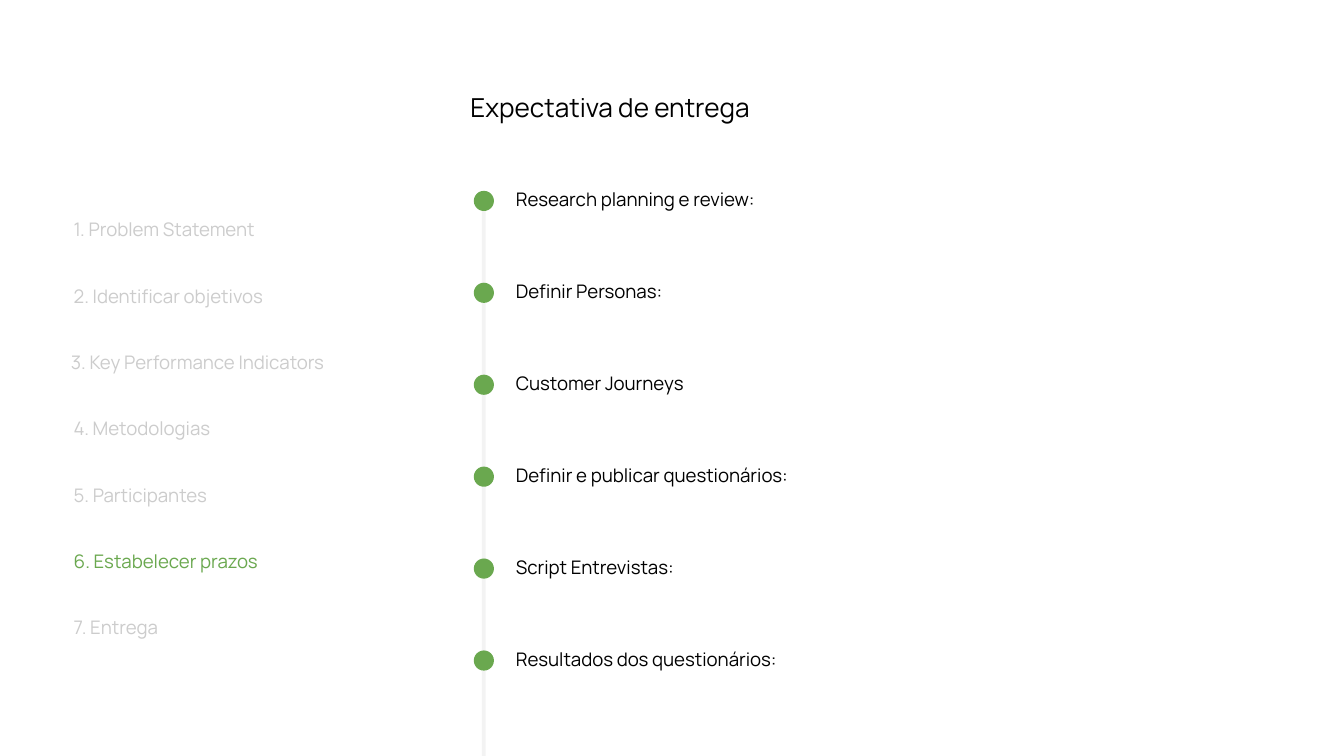
from pptx import Presentation
from pptx.dml.color import RGBColor
from pptx.enum.shapes import MSO_SHAPE
from pptx.enum.text import MSO_ANCHOR, MSO_AUTO_SIZE, PP_ALIGN
from pptx.util import Inches, Pt

GREEN, GREY, PALE, BLACK = "6AA84F", "CCCCCC", "F3F3F3", "000000"
SLIDE_WIDTH = 10
SLIDE_HEIGHT = SLIDE_WIDTH * 9 / 16
ROW_HEIGHT = 0.37
STEP_TOP, STEP_BOTTOM = 1.5, 4.46
MILESTONE_TOP, MILESTONE_BOTTOM = 1.3, 4.72
LINE_CENTER, LINE_WIDTH, LINE_TOP = 3.6, 0.03, 1.5
DOT_SIZE, DOT_OFFSET = 0.15, 0.12

STEPS = [
    "Problem Statement",
    "Identificar objetivos",
    "Key Performance Indicators",
    "Metodologias",
    "Participantes",
    "Estabelecer prazos",
    "Entrega",
]
CURRENT_STEP = 6
MILESTONES = [
    "Research planning e review:",
    "Definir Personas:",
    "Customer Journeys",
    "Definir e publicar questionários:",
    "Script Entrevistas:",
    "Resultados dos questionários:",
]


def write_text(text, box, shape=None, size=10, color=BLACK, line_spacing=1.0):
    """Write one line of text into the given shape, or into a new text box."""
    left, top, width, height = (Inches(length) for length in box)
    if shape is None:
        shape = slide.shapes.add_textbox(left, top, width, height)
    else:
        shape.left, shape.top, shape.width, shape.height = left, top, width, height
    frame = shape.text_frame
    frame.word_wrap = True
    frame.auto_size = MSO_AUTO_SIZE.NONE
    frame.vertical_anchor = MSO_ANCHOR.TOP
    frame.margin_left = frame.margin_right = Inches(0.1)
    frame.margin_top = frame.margin_bottom = Inches(0.1)
    paragraph = frame.paragraphs[0]
    paragraph.alignment = PP_ALIGN.LEFT
    paragraph.line_spacing = line_spacing
    paragraph.space_before = Pt(0)
    run = paragraph.add_run()
    run.text = text
    run.font.size = Pt(size)
    run.font.name = "Manrope"
    run.font.color.rgb = RGBColor.from_string(color)


def add_filled_shape(kind, box, color):
    shape = slide.shapes.add_shape(kind, *(Inches(length) for length in box))
    shape.shadow.inherit = False
    shape.fill.solid()
    shape.fill.fore_color.rgb = RGBColor.from_string(color)
    shape.line.fill.background()


presentation = Presentation()
presentation.slide_width = Inches(SLIDE_WIDTH)
presentation.slide_height = Inches(SLIDE_HEIGHT)
slide = presentation.slides.add_slide(presentation.slide_layouts[5])

write_text("Expectativa de entrega", (3.4, 0.58, 2.72, 0.44),
           shape=slide.shapes.title, size=14)

# Steps of the research plan, with the current one highlighted
step_pitch = (STEP_BOTTOM - STEP_TOP) / (len(STEPS) - 1)
for number, step in enumerate(STEPS, start=1):
    left, width = (0.43, 2.2) if number == 3 else (0.45, 1.81)
    top = STEP_TOP + (number - 1) * step_pitch
    write_text(f"{number}. {step}", (left, top, width, ROW_HEIGHT),
               color=GREEN if number == CURRENT_STEP else GREY, line_spacing=1.15)

# Timeline running off the bottom edge
add_filled_shape(MSO_SHAPE.RECTANGLE,
                 (LINE_CENTER - LINE_WIDTH / 2, LINE_TOP, LINE_WIDTH, SLIDE_HEIGHT - LINE_TOP),
                 PALE)
milestone_pitch = (MILESTONE_BOTTOM - MILESTONE_TOP) / (len(MILESTONES) - 1)
for index, milestone in enumerate(MILESTONES):
    top = MILESTONE_TOP + index * milestone_pitch
    add_filled_shape(MSO_SHAPE.OVAL,
                     (LINE_CENTER - DOT_SIZE / 2, top + DOT_OFFSET, DOT_SIZE, DOT_SIZE),
                     GREEN)
    write_text(milestone, (3.74, top, 4.76, ROW_HEIGHT))

presentation.save("out.pptx")
